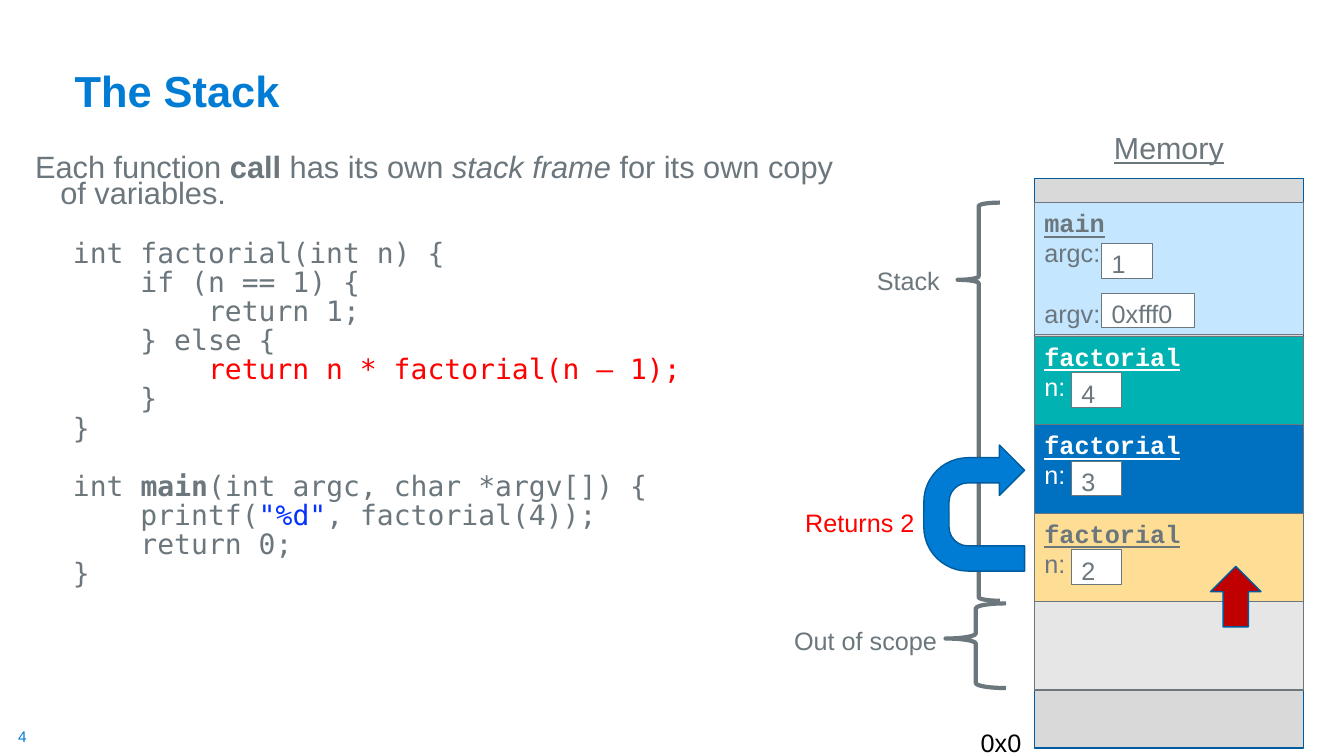
from dataclasses import dataclass

from pptx import Presentation
from pptx.dml.color import RGBColor
from pptx.enum.shapes import MSO_SHAPE
from pptx.enum.text import MSO_ANCHOR, PP_ALIGN
from pptx.shapes.autoshape import Shape
from pptx.slide import Slide
from pptx.text.text import Font, TextFrame
from pptx.util import Pt

RECT, BRACE = MSO_SHAPE.RECTANGLE, MSO_SHAPE.LEFT_BRACE
TURN, UP = MSO_SHAPE.U_TURN_ARROW, MSO_SHAPE.UP_ARROW
TOP, BOTTOM = MSO_ANCHOR.TOP, MSO_ANCHOR.BOTTOM
LEFT, CENTER = PP_ALIGN.LEFT, PP_ALIGN.CENTER

SANS, HEAD, MONO = "Arial", "Courier New", "DejaVu Sans Mono"
HEX = {
    "gray": "6B767D", "blue": "007CD5", "edge": "005C9E", "memory": "D9D9D9",
    "sky": "C4E6FF", "teal": "00B2B1", "deep": "0070C0", "sand": "FEDD94",
    "pale": "E7E6E6", "white": "FFFFFF", "black": "000000", "red": "FF0000",
    "dark": "C00000", "quote": "0432FF",
}
STACK_X, STACK_W = 738.9, 192.2
CALL_Y, CALL_H = 240.1, 63.2


@dataclass
class Box:
    x: float
    y: float
    w: float
    h: float


@dataclass
class Run:
    text: str
    color: str = "gray"
    bold: bool = False
    italic: bool = False


@dataclass
class Label:
    text: str
    box: Box
    color: str = "gray"
    size: float = 18


@dataclass
class Call:
    fill: str
    ink: str
    value: str


@dataclass
class Brace:
    box: Box
    mid: float


CALLS = [
    Call("teal", "white", "4"),
    Call("deep", "white", "3"),
    Call("sand", "gray", "2"),
]
LABELS = [
    Label("0x0", Box(693.4, 516, 49.7, 24), "black"),
    Label("Stack", Box(619.2, 185.8, 59.8, 28.8)),
    Label("Returns 2", Box(568.1, 358.6, 93.6, 28.8), "red"),
    Label("Out of scope", Box(560.2, 443, 117.4, 28.8)),
]
BRACES = [
    Brace(Box(684, 144.7, 30.2, 284.4), 0.194),
    Brace(Box(675.4, 431, 43.2, 60.5), 0.415),
]
INTRO = [
    Run("Each function"), Run(" call", bold=True), Run(" has its own "),
    Run("stack frame ", italic=True), Run("for its own copy of variables."),
]
FACT = [
    [Run("int factorial(int n) {")],
    [Run("    if (n == 1) {")],
    [Run("        return 1;")],
    [Run("    } else {")],
    [Run("        return n * factorial(n – 1);", "red")],
    [Run("    }")],
    [Run("}")],
]
MAIN = [
    [Run("int "), Run("main", bold=True), Run("(int argc, char *argv[]) {")],
    [Run("    printf("), Run('"%d"', "quote"), Run(", factorial(4));")],
    [Run("    return 0;")],
    [Run("}")],
]


def rgb(name: str) -> RGBColor:
    return RGBColor.from_string(HEX[name])


def style(font: Font, color: str, size: float = 18, face: str = SANS) -> None:
    font.name, font.size = face, Pt(size)
    font.color.rgb = rgb(color)


def place(shape: Shape, box: Box) -> None:
    shape.left, shape.top = Pt(box.x), Pt(box.y)
    shape.width, shape.height = Pt(box.w), Pt(box.h)


def draw(slide: Slide, kind: MSO_SHAPE, box: Box, fill: str = "",
         line: str = "gray", width: float = 0.75) -> Shape:
    shape = slide.shapes.add_shape(kind, 0, 0, 0, 0)
    place(shape, box)
    shape.shadow.inherit = False
    if fill:
        shape.fill.solid()
        shape.fill.fore_color.rgb = rgb(fill)
    else:
        shape.fill.background()
    shape.line.color.rgb = rgb(line)
    shape.line.width = Pt(width)
    return shape


def write(frame: TextFrame, text: str, color: str, size: float = 18) -> None:
    frame.text = text
    frame.vertical_anchor = TOP
    for para in frame.paragraphs:
        para.alignment = LEFT
        for run in para.runs:
            style(run.font, color, size)


def label(slide: Slide, item: Label) -> TextFrame:
    shape = slide.shapes.add_textbox(0, 0, 0, 0)
    place(shape, item.box)
    frame = shape.text_frame
    frame.word_wrap = False
    write(frame, item.text, item.color, item.size)
    return frame


def block(slide: Slide, box: Box, fill: str, ink: str, text: str) -> TextFrame:
    """Draw a stack frame whose first line is its underlined name."""
    frame = draw(slide, RECT, box, fill).text_frame
    write(frame, text, ink)
    font = frame.paragraphs[0].runs[0].font
    font.name, font.bold, font.underline = HEAD, True, True
    return frame


def value(slide: Slide, box: Box, text: str) -> None:
    write(draw(slide, RECT, box, "white").text_frame, text, "gray")


def line(frame: TextFrame, runs: list[Run], size: float, face: str,
         margin: float, gap: float) -> None:
    """Add one hanging paragraph, reusing the empty first one."""
    para = frame.paragraphs[0]
    if para.runs:
        para = frame.add_paragraph()
    props = para._p.get_or_add_pPr()
    props.set("marL", str(Pt(margin)))
    props.set("indent", str(Pt(-18)))
    para.line_spacing, para.space_before = 0.7, Pt(gap)
    for part in runs:
        run = para.add_run()
        run.text = part.text
        style(run.font, part.color, size, face)
        run.font.bold, run.font.italic = part.bold, part.italic


def body(slide: Slide) -> None:
    shape = slide.shapes.add_textbox(0, 0, 0, 0)
    place(shape, Box(18, 109.4, 596.9, 407.5))
    frame = shape.text_frame
    frame.word_wrap = True
    line(frame, INTRO, 22, SANS, 18, 0)
    for group in (FACT, MAIN):
        for i, runs in enumerate(group):
            line(frame, runs, 20, MONO, 45, 4 if i else 24.8)


def stack(slide: Slide) -> None:
    draw(slide, RECT, Box(STACK_X, 127.4, STACK_W, 406.8), "memory", "edge", 1)
    frame = block(slide, Box(STACK_X, 144.7, STACK_W, 94.3), "sky", "gray",
                  "main\nargc:\nargv:")
    frame.paragraphs[2].space_before = Pt(21.4)
    value(slide, Box(787, 174.2, 36, 24.5), "1")
    value(slide, Box(787, 209.5, 66.2, 24.5), "0xfff0")
    for i, call in enumerate(CALLS):
        y = CALL_Y + i * CALL_H
        block(slide, Box(STACK_X, y, STACK_W, CALL_H), call.fill, call.ink,
              "factorial\nn:")
        value(slide, Box(765.4, y + 26.3, 36, 24.5), call.value)
    y = CALL_Y + len(CALLS) * CALL_H
    draw(slide, RECT, Box(STACK_X, y, STACK_W, CALL_H), "pale")


def main() -> None:
    deck = Presentation()
    deck.slide_width, deck.slide_height = Pt(960), Pt(540)
    slide = deck.slides.add_slide(deck.slide_layouts[5])
    title = slide.shapes.title
    place(title, Box(46.1, 31, 828, 56.2))
    write(title.text_frame, "The Stack", "blue", 31)
    title.text_frame.vertical_anchor = BOTTOM
    title.text_frame.paragraphs[0].line_spacing = 0.9
    title.text_frame.paragraphs[0].runs[0].font.bold = True

    memory = label(slide, Label("Memory", Box(787, 95.8, 95.8, 31), size=21.7))
    para = memory.paragraphs[0]
    para.alignment, para.line_spacing = CENTER, 0.7
    para.runs[0].font.underline = True
    number = label(slide, Label("4", Box(13, 519.1, 13.7, 13.7), "blue", 11))
    number.margin_left = number.margin_right = 0
    number.margin_top = number.margin_bottom = 0

    body(slide)
    stack(slide)
    for brace in BRACES:
        shape = draw(slide, BRACE, brace.box, width=3)
        shape.adjustments[0], shape.adjustments[1] = 0.083, brace.mid
    turn = draw(slide, TURN, Box(650.9, 326.9, 90, 72), "blue", "edge", 1)
    turn.rotation = 270
    for i, ratio in enumerate((0.25, 0.25, 0.25, 0.438, 1)):
        turn.adjustments[i] = ratio
    draw(slide, UP, Box(864.7, 404.6, 36, 43.2), "dark", "edge", 1)
    for item in LABELS:
        label(slide, item)
    deck.save("out.pptx")


if __name__ == "__main__":
    main()
